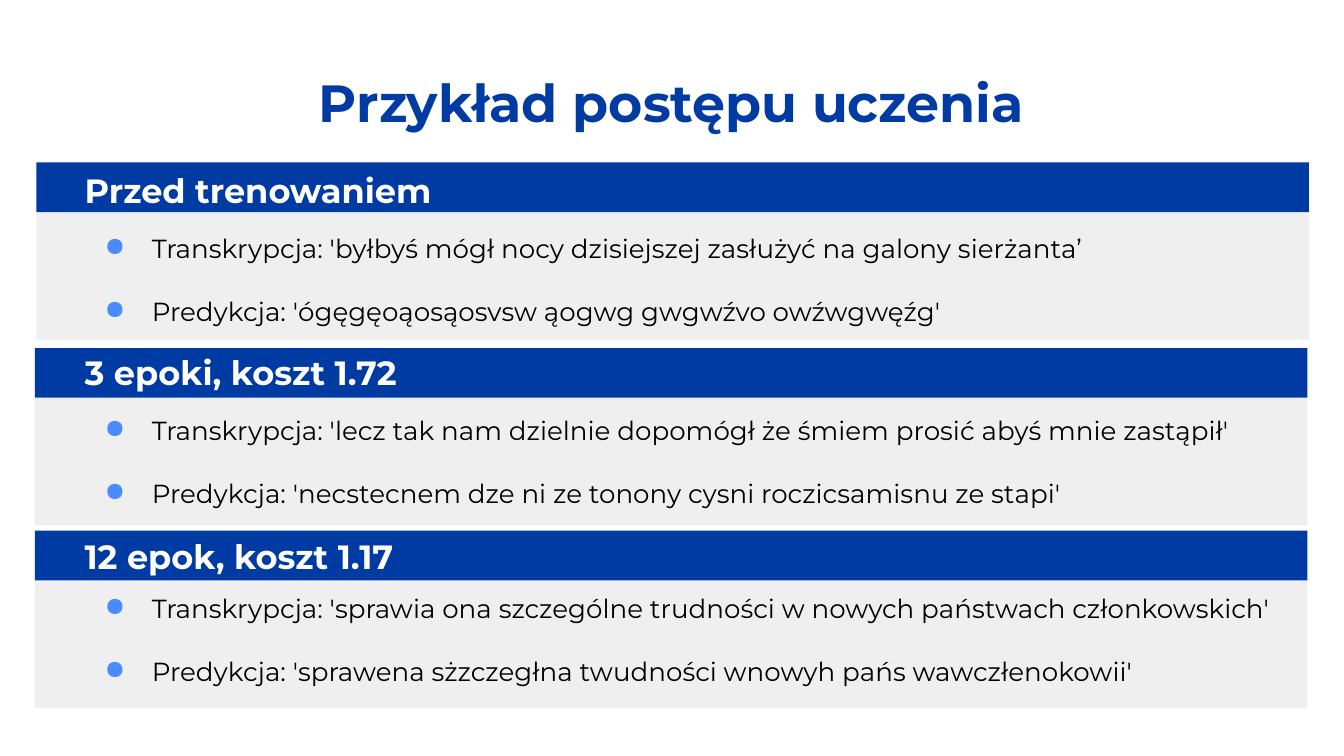
from lxml import etree
from pptx import Presentation
from pptx import util as u
from pptx.dml.color import RGBColor
from pptx.enum import shapes, text
from pptx.oxml.ns import qn

COLORS = {
    "navy": "003BA3",
    "panel": "EFEFEF",
    "bullet": "4A8CFF",
    "body": "000000",
    "white": "FFFFFF",
}
FONT = "Montserrat"
TEXT_LEFT = 1.35
WIDTH = 24.05
BAND_HEIGHT = 0.94
PANEL_HEIGHT = 2.41

SECTIONS = [
    {
        "box": (0.69, 3.07),
        "heading_top": 2.97,
        "lines_top": 4.14,
        "heading": "Przed trenowaniem",
        "lines": [
            "Transkrypcja: 'byłbyś mógł nocy dzisiejszej zasłużyć na galony sierżanta’",
            "Predykcja: 'ógęgęoąosąosvsw ąogwg gwgwźvo owźwgwęźg'",
        ],
    },
    {
        "box": (0.66, 6.58),
        "heading_top": 6.4,
        "lines_top": 7.59,
        "heading": "3 epoki, koszt 1.72",
        "lines": [
            "Transkrypcja: 'lecz tak nam dzielnie dopomógł że śmiem prosić abyś mnie zastąpił'",
            "Predykcja: 'necstecnem dze ni ze tonony cysni roczicsamisnu ze stapi'",
        ],
    },
    {
        "box": (0.66, 10.03),
        "heading_top": 9.88,
        "lines_top": 10.95,
        "heading": "12 epok, koszt 1.17",
        "lines": [
            "Transkrypcja: 'sprawia ona szczególne trudności w nowych państwach członkowskich'",
            "Predykcja: 'sprawena sżzczegłna twudności wnowyh pańs wawczłenokowii'",
        ],
    },
]


def place(shape, left, top, width, height):
    shape.left, shape.top = u.Cm(left), u.Cm(top)
    shape.width, shape.height = u.Cm(width), u.Cm(height)


def add_bullet(paragraph, color):
    properties = paragraph._p.get_or_add_pPr()
    properties.set("marL", str(u.Cm(1.27)))
    properties.set("indent", str(u.Cm(-0.89)))
    bullet_color = etree.SubElement(properties, qn("a:buClr"))
    etree.SubElement(bullet_color, qn("a:srgbClr"), val=COLORS[color])
    etree.SubElement(properties, qn("a:buChar"), char="●")


def write_text(shape, lines, size=14, color="body", bold=False,
               align=text.PP_ALIGN.LEFT, gap=0, bullet=None):
    frame = shape.text_frame
    frame.word_wrap = True
    frame.auto_size = text.MSO_AUTO_SIZE.NONE
    frame.vertical_anchor = text.MSO_ANCHOR.TOP
    frame.margin_left = frame.margin_right = u.Cm(0.25)
    frame.margin_top = frame.margin_bottom = u.Cm(0.25)
    for index, line in enumerate(lines):
        paragraph = frame.add_paragraph() if index else frame.paragraphs[0]
        paragraph.alignment = align
        paragraph.space_before = u.Pt(gap if index else 0)
        if bullet:
            add_bullet(paragraph, bullet)
        run = paragraph.add_run()
        run.text = line
        run.font.name = FONT
        run.font.size = u.Pt(size)
        run.font.bold = bold
        run.font.color.rgb = RGBColor.from_string(COLORS[color])


def add_rectangle(slide, left, top, width, height, color):
    shape = slide.shapes.add_shape(
        shapes.MSO_SHAPE.RECTANGLE,
        u.Cm(left), u.Cm(top), u.Cm(width), u.Cm(height))
    shape.shadow.inherit = False
    shape.fill.solid()
    shape.fill.fore_color.rgb = RGBColor.from_string(COLORS[color])
    shape.line.fill.background()


def add_text(slide, top, height, lines, **formatting):
    shape = slide.shapes.add_textbox(
        u.Cm(TEXT_LEFT), u.Cm(top), u.Cm(WIDTH), u.Cm(height))
    write_text(shape, lines, **formatting)


def add_title(slide, box, title):
    place(slide.shapes.title, *box)
    write_text(slide.shapes.title, [title], size=28, color="navy", bold=True,
               align=text.PP_ALIGN.CENTER)


def add_section(slide, box, heading_top, lines_top, heading, lines):
    left, top = box
    add_rectangle(slide, left, top + BAND_HEIGHT, WIDTH, PANEL_HEIGHT, "panel")
    add_rectangle(slide, left, top, WIDTH, BAND_HEIGHT, "navy")
    add_text(slide, heading_top, 1.17, [heading], size=18, color="white", bold=True)
    add_text(slide, lines_top, PANEL_HEIGHT, lines, gap=17, bullet="bullet")


def main():
    presentation = Presentation()
    presentation.slide_width = u.Cm(25.4)
    presentation.slide_height = u.Cm(14.29)
    slide = presentation.slides.add_slide(presentation.slide_layouts[5])
    add_title(slide, (1.98, 1.07, 21.41, 1.6), "Przykład postępu uczenia")
    for section in SECTIONS:
        add_section(slide, **section)
    presentation.save("out.pptx")


if __name__ == "__main__":
    main()
